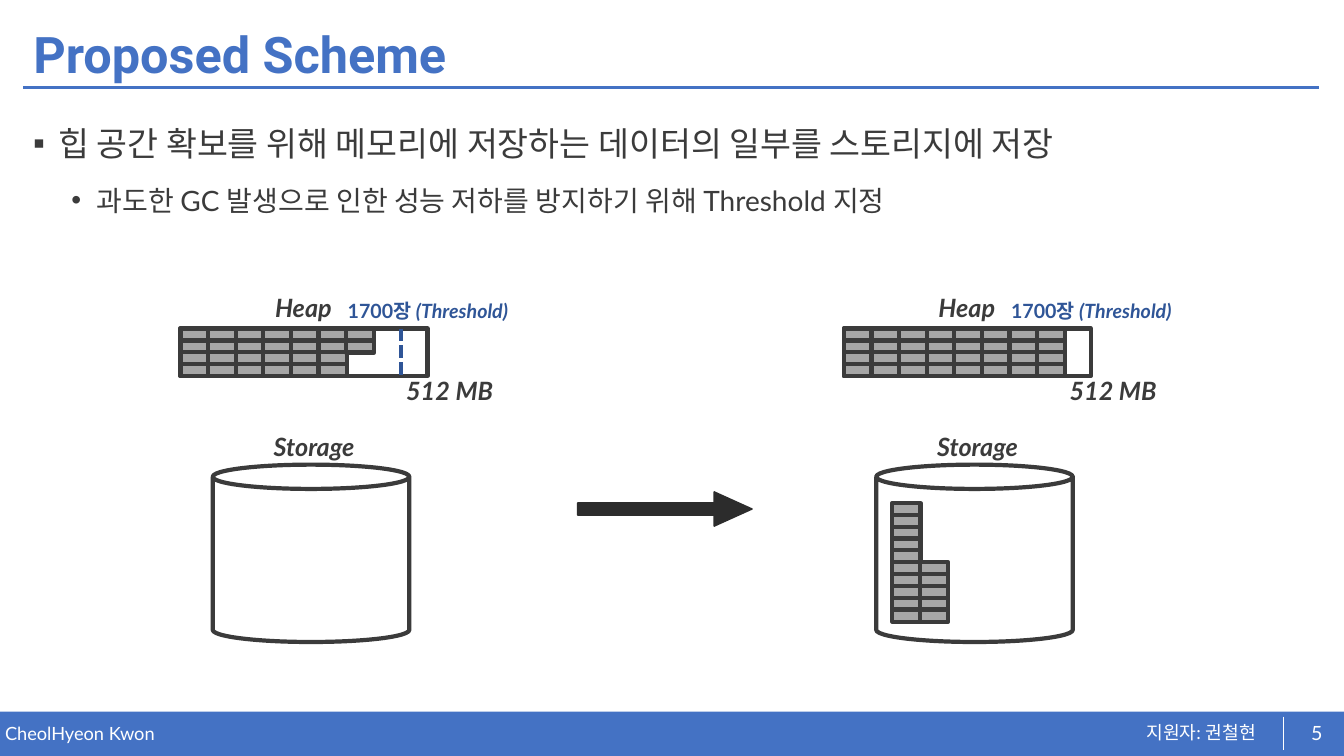
from lxml.etree import SubElement
from pptx import Presentation
from pptx.dml.color import RGBColor
from pptx.enum.dml import MSO_LINE
from pptx.enum.shapes import MSO_CONNECTOR, MSO_SHAPE
from pptx.enum.text import MSO_ANCHOR, PP_ALIGN
from pptx.oxml.ns import qn
from pptx.util import Inches, Pt

BLUE = RGBColor(0x44, 0x72, 0xC4)
NAVY = RGBColor(0x2F, 0x55, 0x97)
CHARCOAL = RGBColor(0x3B, 0x3B, 0x3B)
BLACK = RGBColor(0x2C, 0x2C, 0x2C)
GRAY = RGBColor(0xA6, 0xA6, 0xA6)
WHITE = RGBColor(0xFF, 0xFF, 0xFF)

HEAP_W, HEAP_H = 2.45, 0.47
THRESHOLD_X = 2.19
PITCH_X, PITCH_Y = THRESHOLD_X / 8, HEAP_H / 4
BLOCK_W, BLOCK_H = 0.28, 0.12


def inches(*lengths):
    return [Inches(length) for length in lengths]


def add_run(paragraph, text, size, color, bold=False, italic=False, font="Lato"):
    run = paragraph.add_run()
    run.text = text
    run.font.name = font
    run.font.size = Pt(size)
    run.font.bold = bold
    run.font.italic = italic
    run.font.color.rgb = color


def add_text_frame(slide, box, inset=True):
    frame = slide.shapes.add_textbox(*inches(*box)).text_frame
    frame.word_wrap = True
    if not inset:
        frame.margin_left = frame.margin_right = 0
        frame.margin_top = frame.margin_bottom = 0
    return frame


def add_outlined(slide, kind, box, line=CHARCOAL, width=3, fill=None):
    """Add a preset shape; without a fill colour it stays see-through."""
    shape = slide.shapes.add_shape(kind, *inches(*box))
    shape.shadow.inherit = False
    if fill is None:
        shape.fill.background()
    else:
        shape.fill.solid()
        shape.fill.fore_color.rgb = fill
    if line is None:
        shape.line.fill.background()
    else:
        shape.line.color.rgb = line
        shape.line.width = Pt(width)
    return shape


def add_rule(slide, ends, color, width):
    rule = slide.shapes.add_connector(MSO_CONNECTOR.STRAIGHT, *inches(*ends))
    rule.line.color.rgb = color
    rule.line.width = Pt(width)
    SubElement(rule._element.spPr, qn("a:effectLst"))
    return rule


def add_header(slide, left, top, width):
    title = slide.shapes.title
    title.left, title.top, title.width, title.height = inches(left, top, width, 0.77)
    title.text_frame.vertical_anchor = MSO_ANCHOR.MIDDLE
    paragraph = title.text_frame.paragraphs[0]
    paragraph.alignment = PP_ALIGN.LEFT
    paragraph.line_spacing = 0.9
    add_run(paragraph, "Proposed Scheme", 36, BLUE, bold=True, font="Roboto")
    add_rule(slide, (left, top + 0.69, left + 12.85, top + 0.69), BLUE, 2)


def add_bullets(slide, box):
    frame = add_text_frame(slide, box)
    bullets = [
        ("힙 공간 확보를 위해 메모리에 저장하는 데이터의 일부를 스토리지에 저장", "▪", 0.25, 24, 0),
        ("과도한 GC 발생으로 인한 성능 저하를 방지하기 위해 Threshold 지정", "•", 0.63, 20, 5),
    ]
    for level, (text, mark, indent, size, before) in enumerate(bullets):
        paragraph = frame.add_paragraph() if level else frame.paragraphs[0]
        properties = paragraph._p.get_or_add_pPr()
        properties.set("marL", str(Inches(indent)))
        properties.set("indent", str(-Inches(0.25)))
        SubElement(properties, qn("a:buFont"), typeface="Arial")
        SubElement(properties, qn("a:buChar"), char=mark)
        paragraph.level = level
        paragraph.line_spacing = 1.4
        if before:
            paragraph.space_before = Pt(before)
        add_run(paragraph, text, size, CHARCOAL)


def add_label(slide, text, box, align=PP_ALIGN.LEFT):
    paragraph = add_text_frame(slide, box).paragraphs[0]
    paragraph.alignment = align
    add_run(paragraph, text, 18, CHARCOAL, bold=True, italic=True)


def add_blocks(slide, left, top, columns):
    """Draw data blocks; each column lists the rows it fills, from the top."""
    for column, rows in enumerate(columns):
        for row in rows:
            box = (left + column * PITCH_X, top + row * PITCH_Y, BLOCK_W, BLOCK_H)
            add_outlined(slide, MSO_SHAPE.RECTANGLE, box, fill=GRAY)


def add_memory_state(slide, left, top, heap_columns, storage_columns):
    """Draw the heap bar above the storage cylinder with their data blocks."""
    storage = add_outlined(slide, MSO_SHAPE.CAN, (left + 0.32, top + 1.76, 1.95, 1.76))
    storage.adjustments[0] = 0.137
    add_label(slide, "Storage", (left + 0.35, top + 1.38, 1.95, 0.4), PP_ALIGN.CENTER)

    heap_top = top + 0.41
    add_outlined(slide, MSO_SHAPE.RECTANGLE, (left, heap_top, HEAP_W, HEAP_H))
    add_label(slide, "Heap", (left + 0.84, top, 1.43, 0.4))
    threshold_x = left + THRESHOLD_X
    threshold = add_rule(
        slide, (threshold_x, heap_top, threshold_x, heap_top + 0.49), NAVY, 3)
    threshold.line.dash_style = MSO_LINE.SQUARE_DOT
    add_label(slide, "512 MB", (left + 2.14, top + 0.82, 1.43, 0.4))

    add_blocks(slide, left, heap_top, heap_columns)
    add_blocks(slide, left + 0.48, top + 2.14, storage_columns)

    limit = add_text_frame(slide, (left + 1.56, top + 0.07, 2.54, 0.34)).paragraphs[0]
    add_run(limit, "1700장 ", 14, NAVY, bold=True)
    add_run(limit, "(Threshold)", 14, NAVY, bold=True, italic=True)


def add_transition_arrow(slide, box):
    arrow = add_outlined(slide, MSO_SHAPE.RIGHT_ARROW, box, BLACK, 1, BLACK)
    arrow.adjustments[0] = 0.356
    arrow.adjustments[1] = 1.106


def add_footer(slide, top, width, height):
    add_outlined(slide, MSO_SHAPE.RECTANGLE, (0, top, width, height), None, fill=BLUE)
    applicant = add_text_frame(slide, (11.37, top + 0.1, 2.71, 0.23), inset=False)
    add_run(applicant.paragraphs[0], "지원자: 권철현", 13, WHITE)
    author = add_text_frame(slide, (0.05, top + 0.11, 6.55, 0.22), inset=False)
    add_run(author.paragraphs[0], "CheolHyeon Kwon", 13, WHITE)
    add_rule(slide, (12.73, top + 0.05, 12.73, top + 0.38), WHITE, 0.5)
    number = add_text_frame(slide, (12.82, top + 0.01, 0.48, 0.4), inset=False)
    number.vertical_anchor = MSO_ANCHOR.MIDDLE
    number.paragraphs[0].alignment = PP_ALIGN.CENTER
    add_run(number.paragraphs[0], "5", 14, WHITE)


def main():
    presentation = Presentation()
    presentation.slide_width, presentation.slide_height = inches(13.33, 7.5)
    slide = presentation.slides.add_slide(presentation.slide_layouts[5])

    add_footer(slide, 7.06, 13.33, 0.44)
    add_header(slide, 0.23, 0.18, 12.86)
    add_bullets(slide, (0.23, 1.01, 12.86, 1.4))
    full_column = range(4)
    add_memory_state(slide, 1.79, 2.85, [full_column] * 6 + [range(2)], [])
    add_memory_state(slide, 8.37, 2.85, [full_column] * 8, [range(10), range(5, 10)])
    add_transition_arrow(slide, (5.73, 4.88, 1.73, 0.34))

    presentation.save("out.pptx")


if __name__ == "__main__":
    main()
